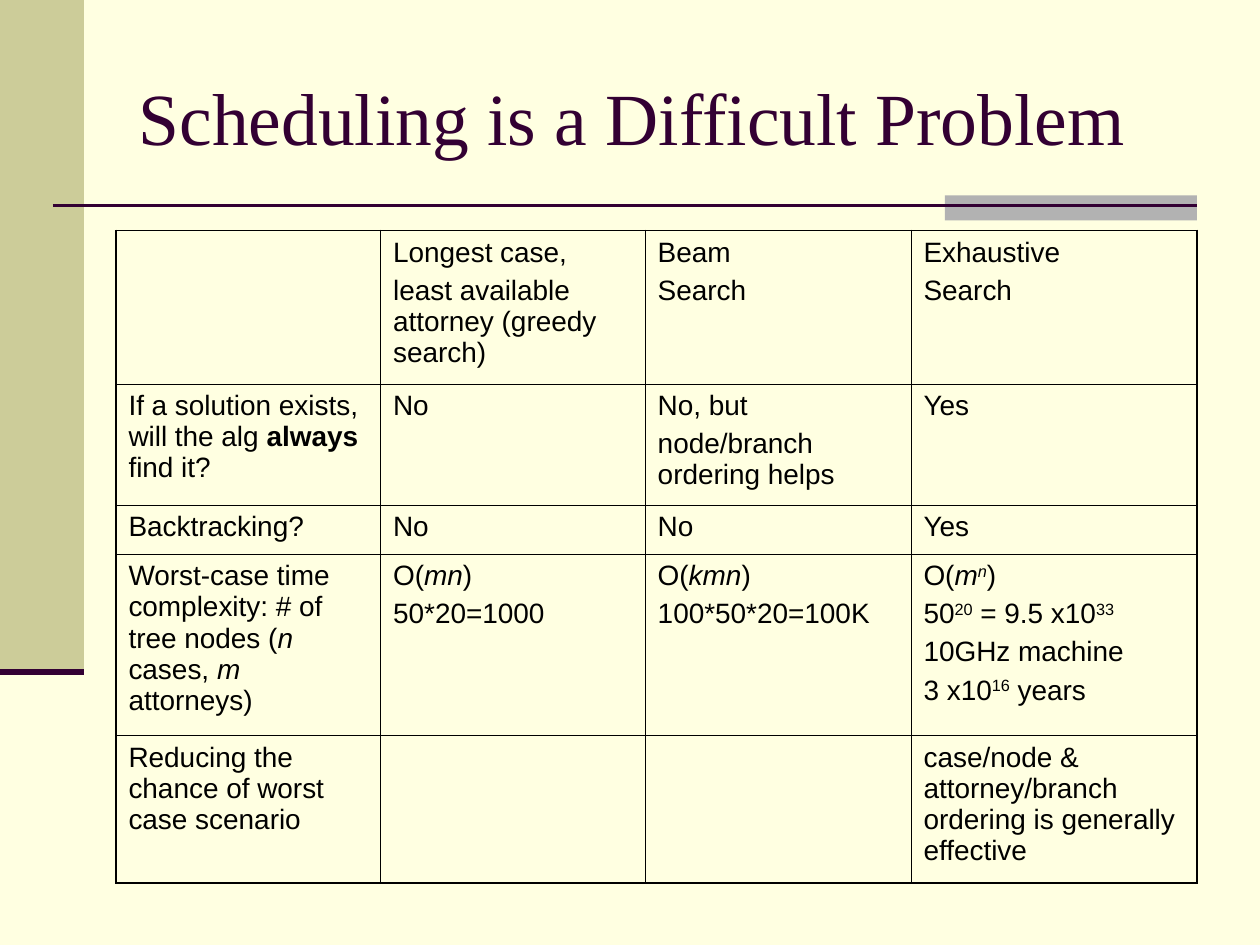
from dataclasses import dataclass

from lxml import etree
from pptx import Presentation, util as u
from pptx.dml.color import RGBColor
from pptx.enum import shapes, text
from pptx.oxml import ns


@dataclass(frozen=True)
class Theme:
    paper: str = "FFFFE1"
    band: str = "CCCC99"
    accent: str = "B2B2B2"
    plum: str = "330033"
    ink: str = "000000"
    title_font: str = "Times New Roman"
    body_font: str = "Arial"
    title_size: float = 42
    body_size: float = 16
    para_gap: float = 4
    thin: float = 0.45
    thick: float = 1.08


T = Theme()

# Content: a cell is a list of paragraphs, a paragraph a list of runs,
# a run either plain text or (text, styles)
TITLE = "Scheduling is a Difficult Problem"
B, I, SUP = "bold", "italic", "superscript"
ROWS = [
    [[],
     [["Longest case,"], ["least available attorney (greedy search)"]],
     [["Beam"], ["Search"]],
     [["Exhaustive"], ["Search"]]],
    [[["If a solution exists, will the alg ", ("always", {B}), " find it?"]],
     [["No"]],
     [["No, but"], ["node/branch ordering helps"]],
     [["Yes"]]],
    [[["Backtracking?"]], [["No"]], [["No"]], [["Yes"]]],
    [[["Worst-case time complexity: # of tree nodes (", ("n", {I}),
       " cases, ", ("m", {I}), " attorneys)"]],
     [["O(", ("mn", {I}), ")"], ["50*20=1000"]],
     [["O(", ("kmn", {I}), ")"], ["100*50*20=100K"]],
     [["O(", ("m", {I}), ("n", {I, SUP}), ")"],
      ["50", ("20", {SUP}), " = 9.5 x10", ("33", {SUP})],
      ["10GHz machine"],
      ["3 x10", ("16", {SUP}), " years"]]],
    [[["Reducing the chance of worst case scenario"]], [], [],
     [["case/node & attorney/branch ordering is generally effective"]]],
]

# Layout in inches
W, H = 10, 7.5
RIGHT = 0.95 * W
BAND_W, BAND_H = W / 15, 5.33
RULE_Y = 1.63
TABLE_X, TABLE_Y = 0.92, 1.83
COLS = [2.1, 2.1, 2.11, 2.27]
ROW_H = [1.22, 0.96, 0.39, 1.44, 1.17]


def color(value):
    return RGBColor.from_string(value)


def add_block(s, x, y, w, h, fill):
    sp = s.shapes.add_shape(shapes.MSO_SHAPE.RECTANGLE, *map(u.Inches, (x, y, w, h)))
    sp.shadow.inherit = False
    sp.fill.solid()
    sp.fill.fore_color.rgb = color(fill)
    sp.line.fill.background()


def add_rule(s, x1, x2, y, width):
    ln = s.shapes.add_connector(shapes.MSO_CONNECTOR.STRAIGHT,
                                *map(u.Inches, (x1, y, x2, y)))
    ln.line.color.rgb = color(T.plum)
    ln.line.width = u.Pt(width)
    etree.SubElement(ln._element.spPr, ns.qn("a:effectLst"))


def add_run(p, content, font, size, ink):
    words, styles = (content, set()) if isinstance(content, str) else content
    r = p.add_run()
    r.text = words
    r.font.name, r.font.size = font, u.Pt(size)
    r.font.color.rgb = color(ink)
    r.font.bold, r.font.italic = B in styles, I in styles
    if SUP in styles:
        r.font._element.set("baseline", "30000")


def set_borders(cell, outer):
    """Draw all four sides, thicker where the side is on the table's edge."""
    tc_pr = cell._tc.get_or_add_tcPr()
    for side in "LRTB":
        width = T.thick if outer[side] else T.thin
        ln = etree.SubElement(tc_pr, ns.qn(f"a:ln{side}"), w=str(u.Pt(width)))
        fill = etree.SubElement(ln, ns.qn("a:solidFill"))
        etree.SubElement(fill, ns.qn("a:srgbClr"), val=T.ink)


def fill_cell(cell, paragraphs):
    tf = cell.text_frame
    for i, runs in enumerate(paragraphs):
        p = tf.add_paragraph() if i else tf.paragraphs[0]
        if i:
            p.space_before = u.Pt(T.para_gap)
        for content in runs:
            add_run(p, content, T.body_font, T.body_size, T.ink)


def add_grid(s):
    box = map(u.Inches, (TABLE_X, TABLE_Y, sum(COLS), sum(ROW_H)))
    table = s.shapes.add_table(len(ROW_H), len(COLS), *box).table
    table.first_row = table.horz_banding = False
    for col, width in zip(table.columns, COLS):
        col.width = u.Inches(width)
    for row, height in zip(table.rows, ROW_H):
        row.height = u.Inches(height)
    for i, row in enumerate(ROWS):
        for j, paragraphs in enumerate(row):
            cell = table.cell(i, j)
            set_borders(cell, {"L": j == 0, "R": j == len(COLS) - 1,
                               "T": i == 0, "B": i == len(ROW_H) - 1})
            cell.fill.background()
            fill_cell(cell, paragraphs)


def add_title(s):
    sp = s.shapes.title
    sp.left, sp.top, sp.width, sp.height = map(u.Inches, (1, 0.3, RIGHT - 1, 1.25))
    tf = sp.text_frame
    tf.word_wrap = True
    tf.auto_size = text.MSO_AUTO_SIZE.NONE
    tf.vertical_anchor = text.MSO_ANCHOR.MIDDLE
    p = tf.paragraphs[0]
    p.alignment = text.PP_ALIGN.LEFT
    add_run(p, TITLE, T.title_font, T.title_size, T.plum)


def main():
    prs = Presentation()
    prs.slide_width, prs.slide_height = u.Inches(W), u.Inches(H)
    s = prs.slides.add_slide(prs.slide_layouts[5])
    s.background.fill.solid()
    s.background.fill.fore_color.rgb = color(T.paper)

    # Side band, accent block and rules
    add_block(s, 0, 0, BAND_W, BAND_H, T.band)
    add_block(s, RIGHT - 2, 1.55, 2, 0.2, T.accent)
    add_rule(s, 0.42, RIGHT, RULE_Y, 1.5)
    add_rule(s, 0, BAND_W, BAND_H, 3.5)

    # Title and comparison table
    add_title(s)
    add_grid(s)
    prs.save("out.pptx")


if __name__ == "__main__":
    main()
